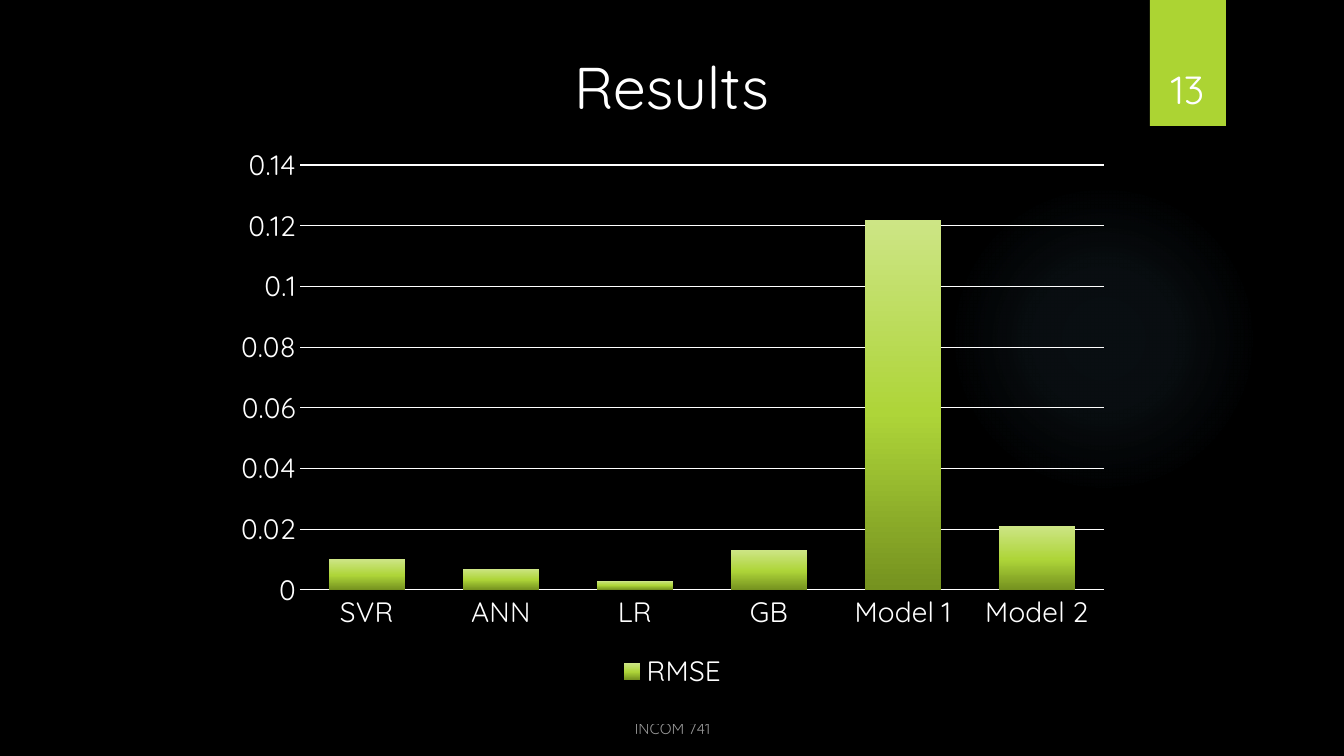
import lxml.etree
import pptx
import pptx.chart.data
import pptx.dml.color
import pptx.enum.chart
import pptx.enum.shapes
import pptx.enum.text
import pptx.oxml.ns
import pptx.util

SCALE = 914400 / 100.8
FONT = "Quicksand"
HUES = {
    "back": "000000",
    "text": "FFFFFF",
    "tab": "ACD433",
    "glow": "7AC4F0",
    "dark": "75921F",
    "mid": "AED539",
    "light": "CDE585",
}
SCORES = {
    "SVR": 0.01,
    "ANN": 0.007,
    "LR": 0.003,
    "GB": 0.013,
    "Model 1": 0.122,
    "Model 2": 0.021,
}
SHAPES = pptx.enum.shapes.MSO_SHAPE
ANCHORS = pptx.enum.text.MSO_ANCHOR


def px(count):
    return pptx.util.Emu(round(count * SCALE))


def place(box):
    return [px(side) for side in box]


def tint(name):
    return pptx.dml.color.RGBColor.from_string(HUES[name])


def add_node(parent, tag, **attrs):
    return lxml.etree.SubElement(parent, pptx.oxml.ns.qn(tag), **attrs)


def fade(color, share):
    add_node(color, "a:alpha", val=str(share * 1000))


def blend(fill, root, stops):
    fill.gradient()
    grad = root.find(".//" + pptx.oxml.ns.qn("a:gradFill"))
    grad.clear()
    grad.set("rotWithShape", "1")
    group = add_node(grad, "a:gsLst")
    for spot, name, share in stops:
        stop = add_node(group, "a:gs", pos=str(spot * 1000))
        color = add_node(stop, "a:srgbClr", val=HUES[name])
        if share < 100:
            fade(color, share)
    return grad


def style(font, size):
    font.name = FONT
    font.size = pptx.util.Pt(size)
    font.color.rgb = tint("text")


def add_form(slide, kind, box):
    form = slide.shapes.add_shape(kind, *place(box))
    form.shadow.inherit = False
    form.line.fill.background()
    return form


def add_text(slide, box, words, size, anchor):
    frame = slide.shapes.add_textbox(*place(box)).text_frame
    frame.word_wrap = True
    frame.vertical_anchor = anchor
    frame.text = words
    line = frame.paragraphs[0]
    line.alignment = pptx.enum.text.PP_ALIGN.CENTER
    style(line.runs[0].font, size)
    return line.runs[0]


def draw_glow(slide, box):
    glow = add_form(slide, SHAPES.OVAL, box)
    stops = [(0, "glow", 7), (36, "glow", 6), (69, "glow", 0), (100, "glow", 0)]
    grad = blend(glow.fill, glow._element, stops)
    way = add_node(grad, "a:path", path="circle")
    add_node(way, "a:fillToRect", l="50000", t="50000", r="50000", b="50000")


def draw_tab(slide, box, words):
    left, top, width, height = box
    tab = add_form(slide, SHAPES.RECTANGLE, box)
    tab.fill.solid()
    tab.fill.fore_color.rgb = tint("tab")
    label = (left - 9, top + 32, width + 17, height - 41)
    add_text(slide, label, words, 28, ANCHORS.BOTTOM)


def draw_foot(slide, box, words):
    run = add_text(slide, box, words, 11, ANCHORS.BOTTOM)
    fade(run._r.find(".//" + pptx.oxml.ns.qn("a:srgbClr")), 60)


def rule(line):
    line.color.rgb = tint("text")
    line.width = pptx.util.Pt(0.75)


def draw_chart(slide, box):
    data = pptx.chart.data.CategoryChartData()
    data.categories = list(SCORES)
    data.add_series("RMSE", list(SCORES.values()))
    kind = pptx.enum.chart.XL_CHART_TYPE.COLUMN_CLUSTERED
    chart = slide.shapes.add_chart(kind, *place(box), data).chart
    chart.has_title = False
    style(chart.font, 20)

    chart.has_legend = True
    chart.legend.position = pptx.enum.chart.XL_LEGEND_POSITION.BOTTOM
    chart.legend.include_in_layout = False
    style(chart.legend.font, 20)

    for axis in (chart.category_axis, chart.value_axis):
        axis.major_tick_mark = pptx.enum.chart.XL_TICK_MARK.NONE
        axis.minor_tick_mark = pptx.enum.chart.XL_TICK_MARK.NONE
        style(axis.tick_labels.font, 20)
    rule(chart.category_axis.format.line)
    values = chart.value_axis
    values.minimum_scale = 0
    values.maximum_scale = 0.14
    values.major_unit = 0.02
    values.format.line.fill.background()
    values.has_major_gridlines = True
    rule(values.major_gridlines.format.line)

    plot = chart.plots[0]
    plot.gap_width = 75
    plot.vary_by_categories = False
    bars = plot.series[0]
    stops = [(0, "dark", 100), (48, "mid", 100), (100, "light", 100)]
    grad = blend(bars.format.fill, bars._element, stops)
    add_node(grad, "a:lin", ang="16200000", scaled="0")


def main():
    deck = pptx.Presentation()
    deck.slide_width = px(1344)
    deck.slide_height = px(756)
    slide = deck.slides.add_slide(deck.slide_layouts[6])
    slide.background.fill.solid()
    slide.background.fill.fore_color.rgb = tint("back")
    draw_glow(slide, (949, 184, 310, 310))
    add_text(slide, (153, 46, 1037, 154), "Results", 42, ANCHORS.TOP)
    draw_chart(slide, (223, 136, 899, 559))
    draw_tab(slide, (1150, 0, 76, 126), "13")
    draw_foot(slide, (460, 710, 425, 33), "INCOM 741")
    deck.save("out.pptx")


if __name__ == "__main__":
    main()
